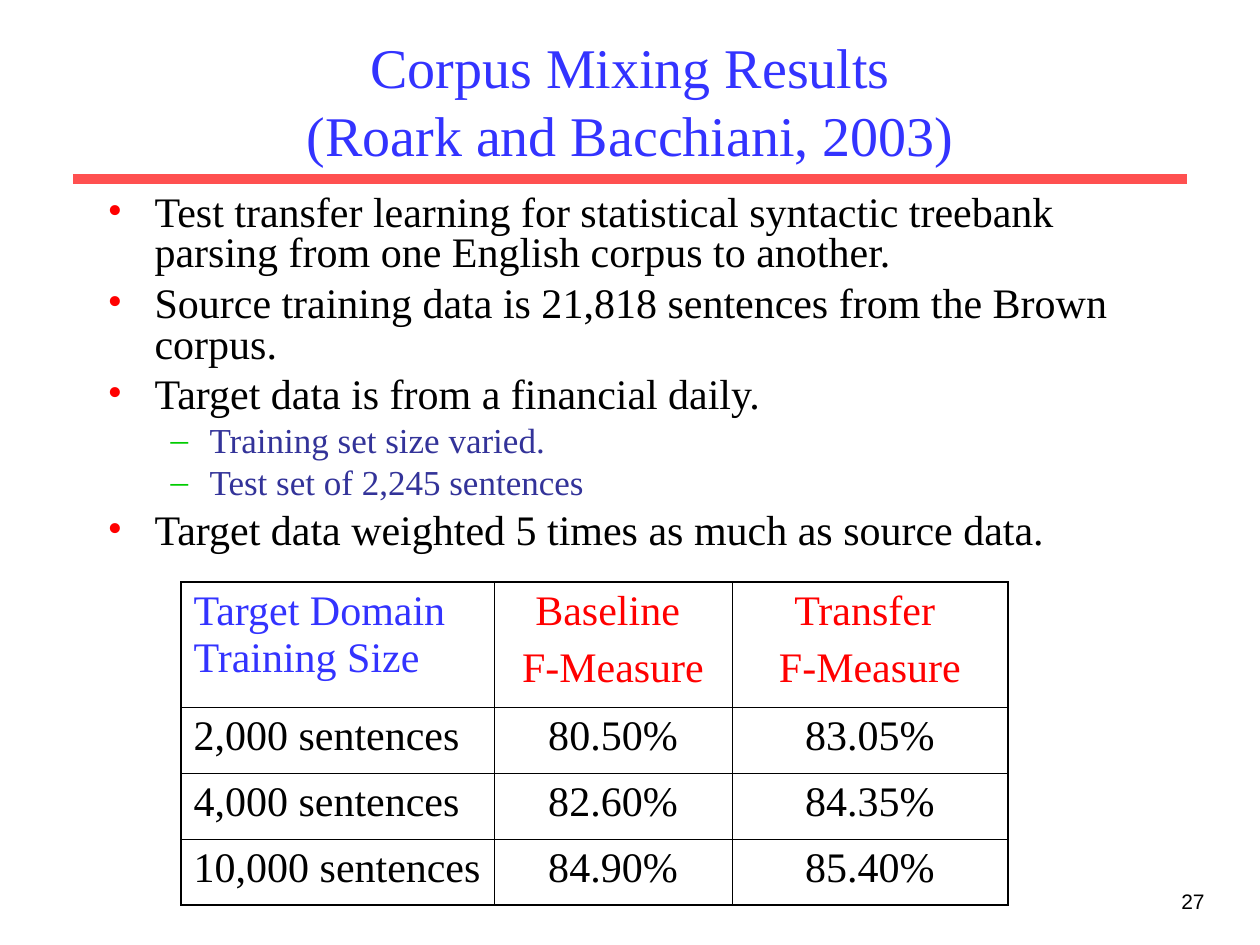
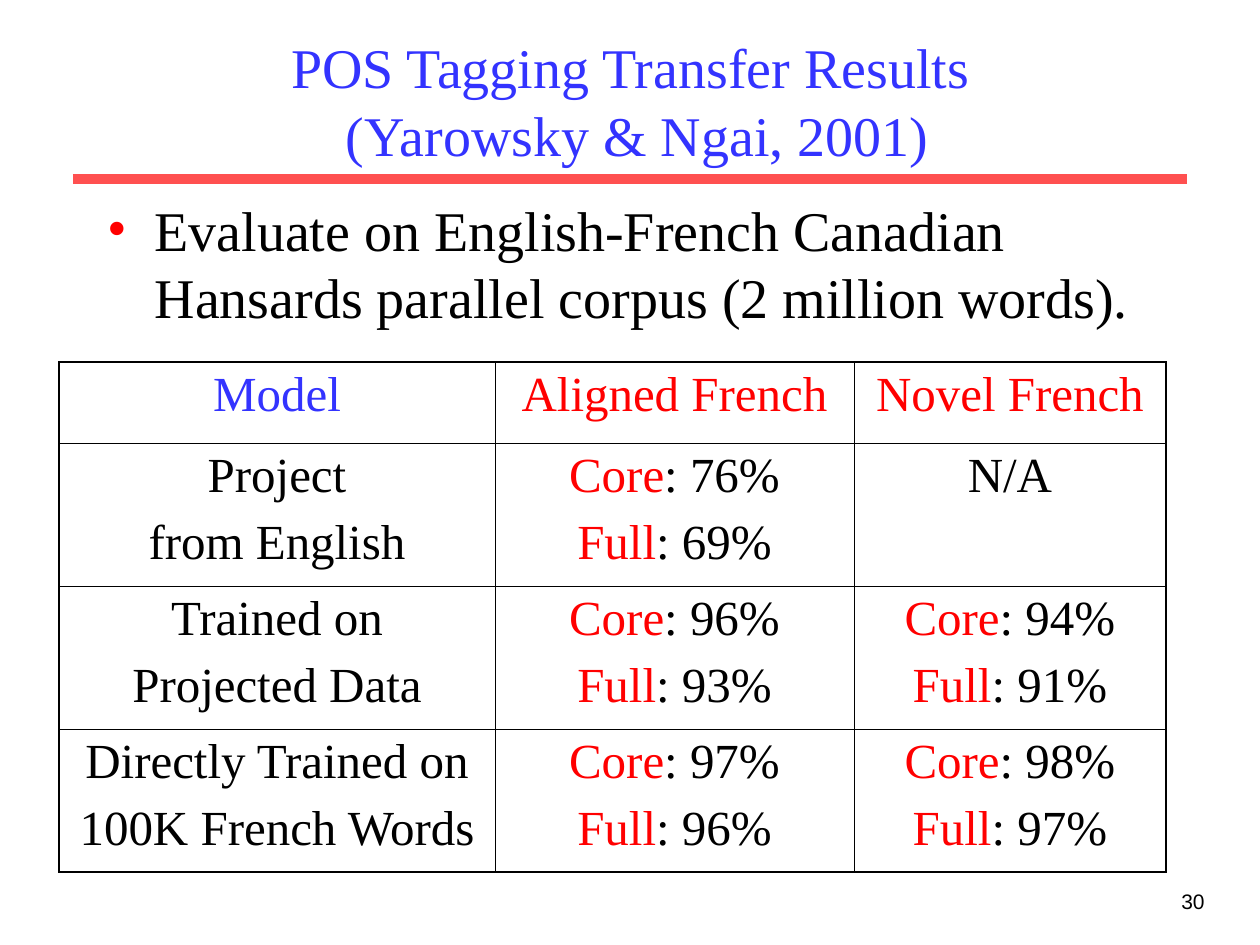
from lxml.etree import SubElement
from pptx import Presentation
from pptx.dml.color import RGBColor
from pptx.enum.shapes import MSO_CONNECTOR
from pptx.enum.text import MSO_ANCHOR, MSO_AUTO_SIZE, PP_ALIGN
from pptx.oxml.ns import qn
from pptx.util import Emu, Pt

PX = 914400 / 126
BLUE = RGBColor(0x33, 0x33, 0xFF)
NAVY = RGBColor(0x33, 0x33, 0x99)
RED = RGBColor(0xFF, 0x00, 0x00)
CORAL = RGBColor(0xFF, 0x50, 0x50)
GREEN = RGBColor(0x00, 0xCC, 0x00)
BLACK = RGBColor(0x00, 0x00, 0x00)
SERIF, SANS = "Times New Roman", "Arial"
OUTER, INNER = Pt(1.08), Pt(0.45)

# Per list level: bullet, bullet colour, text colour, left margin, hanging indent
LEVELS = [("•", RED, BLACK, 47, 47), ("–", GREEN, NAVY, 102, 39)]


def px(length):
    return Emu(round(length * PX))


def place(shape, left, top, width, height):
    shape.left, shape.top = px(left), px(top)
    shape.width, shape.height = px(width), px(height)


def style(run, size, color, face=SERIF):
    run.font.size, run.font.name = Pt(size), face
    run.font.color.rgb = color


def add_color(parent, color):
    SubElement(SubElement(parent, qn("a:solidFill")), qn("a:srgbClr"), val=str(color))


# Parts on every slide
def add_title(slide, heading):
    title = slide.shapes.title
    place(title, 95, 32, 1071, 136)
    frame = title.text_frame
    frame.auto_size = MSO_AUTO_SIZE.NONE
    frame.vertical_anchor = MSO_ANCHOR.MIDDLE
    line = frame.paragraphs[0]
    line.text = heading
    line.alignment = PP_ALIGN.CENTER
    for run in line.runs:
        style(run, 32, BLUE)
    # The line break needs the title size as well
    for line_break in line._p.findall(qn("a:br")):
        SubElement(line_break, qn("a:rPr"), sz="3200")


def add_rule(slide):
    rule = slide.shapes.add_connector(
        MSO_CONNECTOR.STRAIGHT, px(73), px(179), px(1187), px(179))
    rule.line.color.rgb, rule.line.width = CORAL, Pt(6)
    SubElement(rule._element.spPr, qn("a:effectLst"))


def add_page_number(slide, number):
    frame = slide.shapes.add_textbox(px(955), px(882), px(262), px(63)).text_frame
    frame.word_wrap = True
    frame.text = str(number)
    line = frame.paragraphs[0]
    line.alignment = PP_ALIGN.RIGHT
    style(line.runs[0], 12, BLACK, SANS)


def start_slide(deck, heading, number):
    slide = deck.slides.add_slide(deck.slide_layouts[1])
    add_rule(slide)
    add_title(slide, heading)
    add_page_number(slide, number)
    return slide


# Bulleted list
def set_bullet(point, level):
    mark, mark_color, _, margin, hanging = LEVELS[level]
    props = point._p.get_or_add_pPr()
    props.set("marL", str(px(margin)))
    props.set("indent", str(-px(hanging)))
    SubElement(SubElement(props, qn("a:buClr")), qn("a:srgbClr"), val=str(mark_color))
    SubElement(props, qn("a:buFont"), typeface=SERIF)
    SubElement(props, qn("a:buChar"), char=mark)


def add_points(slide, points, height, sizes, spacing):
    body = slide.placeholders[1]
    place(body, 95, 189, 1071, height)
    frame = body.text_frame
    frame.auto_size = MSO_AUTO_SIZE.NONE
    frame.text = "\n".join(text for _, text in points)
    for index, (point, (level, _)) in enumerate(zip(frame.paragraphs, points)):
        point.level = level
        set_bullet(point, level)
        point.line_spacing = spacing
        point.space_before = Pt(sizes[level] // 4 if index else 0)
        style(point.runs[0], sizes[level], LEVELS[level][2])


# Results table
def set_borders(cell, edges):
    props = cell._tc.get_or_add_tcPr()
    for side, outer in edges.items():
        border = SubElement(props, qn(f"a:ln{side}"), w=str(OUTER if outer else INNER))
        add_color(border, BLACK)


def fill_cell(cell, text, size, color, align):
    cell.text_frame.text = text
    for index, line in enumerate(cell.text_frame.paragraphs):
        line.alignment = align
        line.space_before = Pt(size // 4 if index else 0)
        label, colon, score = line.text.partition(":")
        if colon:
            line.text = label
            line.add_run().text = colon + score
        for run in line.runs:
            style(run, size, color)
        if colon:
            line.runs[0].font.color.rgb = RED


def add_results(slide, left, top, widths, heights, rows, size, first_align):
    table = slide.shapes.add_table(
        len(rows), len(widths), px(left), px(top),
        px(sum(widths)), px(sum(heights))).table
    table.first_row = table.horz_banding = False
    for column, width in zip(table.columns, widths):
        column.width = px(width)
    for r, (row, height) in enumerate(zip(rows, heights)):
        table.rows[r].height = px(height)
        for c, text in enumerate(row):
            cell = table.cell(r, c)
            color = BLACK if r else RED if c else BLUE
            fill_cell(cell, text, size, color, PP_ALIGN.CENTER if c else first_align)
            set_borders(cell, {"L": c == 0, "R": c == len(widths) - 1,
                               "T": r == 0, "B": r == len(rows) - 1})
            cell.fill.background()


def corpus_mixing(deck):
    slide = start_slide(deck, "Corpus Mixing Results\n(Roark and Bacchiani, 2003)", 27)
    add_points(slide, [
        (0, "Test transfer learning for statistical syntactic treebank parsing "
            "from one English corpus to another."),
        (0, "Source training data is 21,818 sentences from the Brown corpus."),
        (0, "Target data is from a financial daily."),
        (1, "Training set size varied."),
        (1, "Test set of 2,245 sentences"),
        (0, "Target data weighted 5 times as much as source data."),
    ], height=372, sizes=(24, 20), spacing=0.8)
    add_results(slide, 181, 582, [313, 238, 276], [125] + [66] * 3, [
        ("Target Domain Training Size", "Baseline \nF-Measure", "Transfer \nF-Measure"),
        ("2,000 sentences", "80.50%", "83.05%"),
        ("4,000 sentences", "82.60%", "84.35%"),
        ("10,000 sentences", "84.90%", "85.40%"),
    ], size=24, first_align=PP_ALIGN.LEFT)


def tagging_transfer(deck):
    slide = start_slide(
        deck, "POS Tagging Transfer Results\n (Yarowsky & Ngai, 2001)", 30)
    add_points(slide, [
        (0, "Evaluate on English-French Canadian Hansards parallel corpus "
            "(2 million words)."),
    ], height=160, sizes=(32, 28), spacing=1.0)
    add_results(slide, 59, 362, [436, 359, 312], [81] + [143] * 3, [
        ("Model", "Aligned French", "Novel French"),
        ("Project\nfrom English", "Core: 76%\nFull: 69%", "N/A"),
        ("Trained on\nProjected Data", "Core: 96%\nFull: 93%", "Core: 94%\nFull: 91%"),
        ("Directly Trained on\n100K French Words",
         "Core: 97%\nFull: 96%", "Core: 98%\nFull: 97%"),
    ], size=28, first_align=PP_ALIGN.CENTER)


def main():
    deck = Presentation()
    deck.slide_width, deck.slide_height = px(1260), px(945)
    corpus_mixing(deck)
    tagging_transfer(deck)
    deck.save("out.pptx")


if __name__ == "__main__":
    main()
